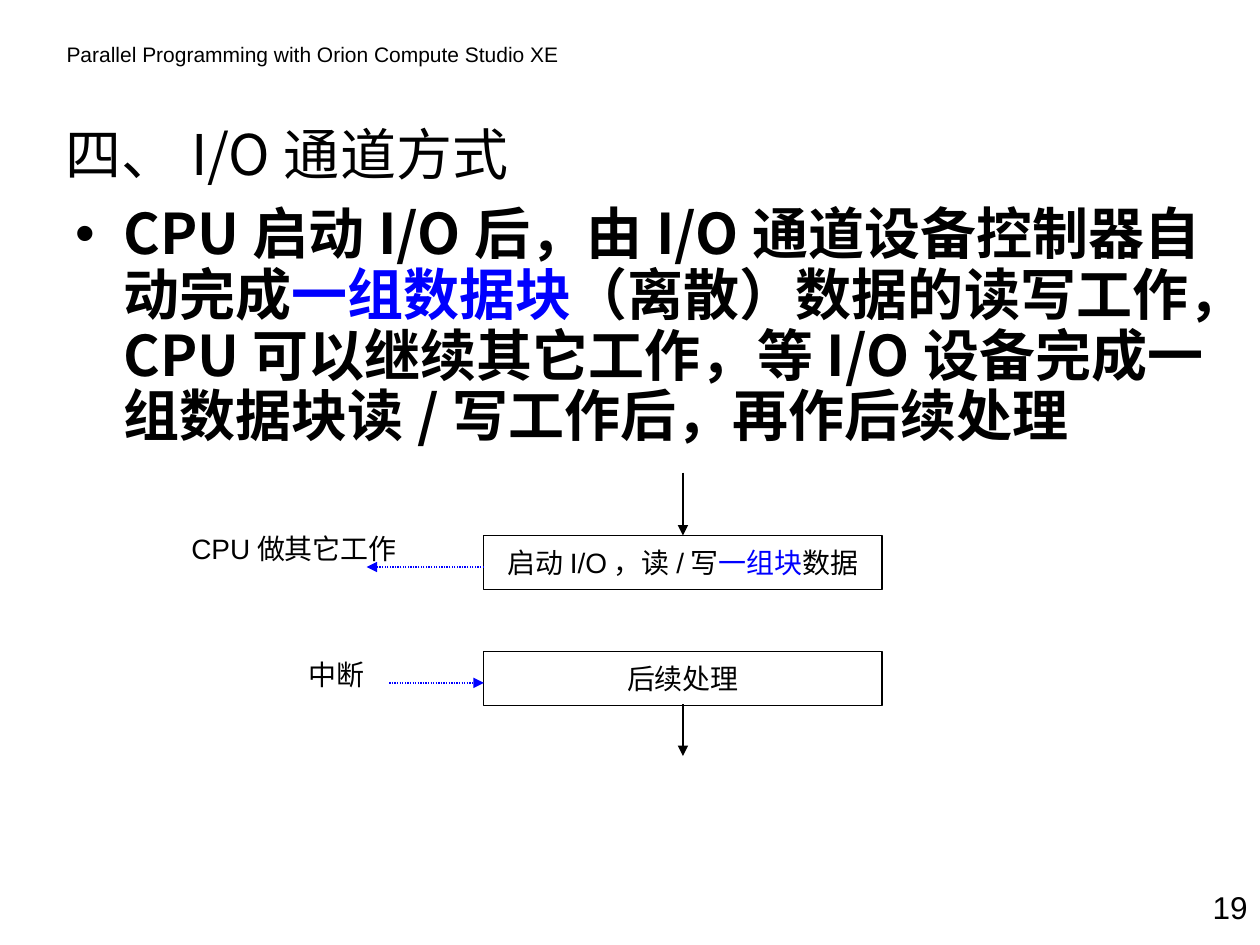
from dataclasses import dataclass

from lxml.etree import SubElement
from pptx import Presentation
from pptx.dml.color import RGBColor
from pptx.enum.dml import MSO_LINE
from pptx.enum.shapes import MSO_CONNECTOR, MSO_SHAPE
from pptx.enum.text import MSO_ANCHOR, MSO_AUTO_SIZE, PP_ALIGN
from pptx.oxml.ns import qn
from pptx.util import Inches, Pt

BLACK = RGBColor(0, 0, 0)
BLUE = RGBColor(0, 0, 255)
LATIN = "Arial"
HAN = "Noto Sans CJK SC"
MID = 5.42
BOX_LEFT, BOX_WIDTH, BOX_HEIGHT = 3.84, 3.16, 0.43


@dataclass
class Span:
    text: str
    color: RGBColor = BLACK


@dataclass
class Label:
    spans: list[Span]
    left: float
    top: float
    width: float
    height: float
    size: float = 16
    font: str = LATIN
    bold: bool = False
    align: PP_ALIGN = PP_ALIGN.LEFT


@dataclass
class Step:
    spans: list[Span]
    top: float


@dataclass
class Arrow:
    start: tuple[float, float]
    end: tuple[float, float]
    color: RGBColor = BLACK
    dotted: bool = False


def write(para, spans: list[Span], size: float, font: str = LATIN,
          bold: bool = False) -> None:
    for span in spans:
        run = para.add_run()
        run.text = span.text
        run.font.size = Pt(size)
        run.font.bold = bold
        run.font.color.rgb = span.color
        run.font.name = font
        SubElement(run._r.get_or_add_rPr(), qn("a:ea"), typeface=HAN)


def add_label(slide, label: Label):
    box = slide.shapes.add_textbox(*map(Inches, (
        label.left, label.top, label.width, label.height)))
    box.text_frame.word_wrap = True
    para = box.text_frame.paragraphs[0]
    para.alignment = label.align
    write(para, label.spans, label.size, label.font, label.bold)
    return para


def add_bullet(para, indent: float) -> None:
    props = para._p.get_or_add_pPr()
    props.set("marL", str(Inches(indent)))
    props.set("indent", str(-Inches(indent)))
    SubElement(props, qn("a:buFont"), typeface=LATIN)
    SubElement(props, qn("a:buChar"), char="•")


def add_step(slide, step: Step) -> None:
    box = slide.shapes.add_shape(MSO_SHAPE.RECTANGLE, *map(Inches, (
        BOX_LEFT, step.top, BOX_WIDTH, BOX_HEIGHT)))
    box.shadow.inherit = False
    box.fill.background()
    box.line.color.rgb = BLACK
    box.line.width = Pt(0.75)
    frame = box.text_frame
    frame.word_wrap = True
    frame.vertical_anchor = MSO_ANCHOR.TOP
    frame.margin_top = frame.margin_bottom = Inches(0.08)
    para = frame.paragraphs[0]
    para.alignment = PP_ALIGN.CENTER
    write(para, step.spans, 16)


def add_arrow(slide, arrow: Arrow) -> None:
    line = slide.shapes.add_connector(
        MSO_CONNECTOR.STRAIGHT, *map(Inches, arrow.start + arrow.end))
    line.line.color.rgb = arrow.color
    line.line.width = Pt(0.75)
    if arrow.dotted:
        line.line.dash_style = MSO_LINE.ROUND_DOT
    SubElement(line.get_or_add_ln(), qn("a:tailEnd"), type="triangle")
    SubElement(line._element.spPr, qn("a:effectLst"))


def add_title(slide, text: str) -> None:
    title = slide.shapes.title
    title.left, title.top = Inches(0.42), Inches(0.84)
    title.width, title.height = Inches(5.67), Inches(0.75)
    frame = title.text_frame
    frame.auto_size = MSO_AUTO_SIZE.NONE
    frame.vertical_anchor = MSO_ANCHOR.MIDDLE
    para = frame.paragraphs[0]
    para.alignment = PP_ALIGN.LEFT
    write(para, [Span(text)], 32, HAN)


BODY = Label([
    Span("CPU启动I/O后，由I/O通道设备控制器自动完成"),
    Span("一组数据块", BLUE),
    Span("（离散）数据的读写工作，CPU可以继续其它工作，"
         "等I/O设备完成一组数据块读/写工作后，再作后续处理"),
], 0.5, 1.59, 9.29, 2.08, 32, HAN, True)

LABELS = [
    Label([Span("Parallel Programming with Orion Compute Studio XE")],
          0.43, 0.28, 4.3, 0.3, 12),
    Label([Span("19")], 9.33, 7, 0.67, 0.5, 18, align=PP_ALIGN.RIGHT),
    Label([Span("CPU做其它工作")], 1.42, 4.17, 2.05, 0.37),
    Label([Span("中断")], 2.35, 5.17, 0.74, 0.37),
]

STEPS = [
    Step([Span("启动I/O，读/写"), Span("一组块", BLUE), Span("数据")], 4.25),
    Step([Span("后续处理")], 5.17),
]

ARROWS = [
    Arrow((MID, 3.75), (MID, 4.25)),
    Arrow((MID, 5.59), (MID, 6)),
    Arrow((BOX_LEFT, 4.5), (2.91, 4.5), BLUE, True),
    Arrow((3.09, 5.42), (BOX_LEFT, 5.42), BLUE, True),
]


def main() -> None:
    deck = Presentation()
    deck.slide_width, deck.slide_height = Inches(10), Inches(7.5)
    slide = deck.slides.add_slide(deck.slide_layouts[5])
    add_title(slide, "四、I/O通道方式")
    body = add_label(slide, BODY)
    body.line_spacing = 0.9
    add_bullet(body, 0.38)
    for label in LABELS:
        add_label(slide, label)
    for step in STEPS:
        add_step(slide, step)
    for arrow in ARROWS:
        add_arrow(slide, arrow)
    deck.save("out.pptx")


if __name__ == "__main__":
    main()
